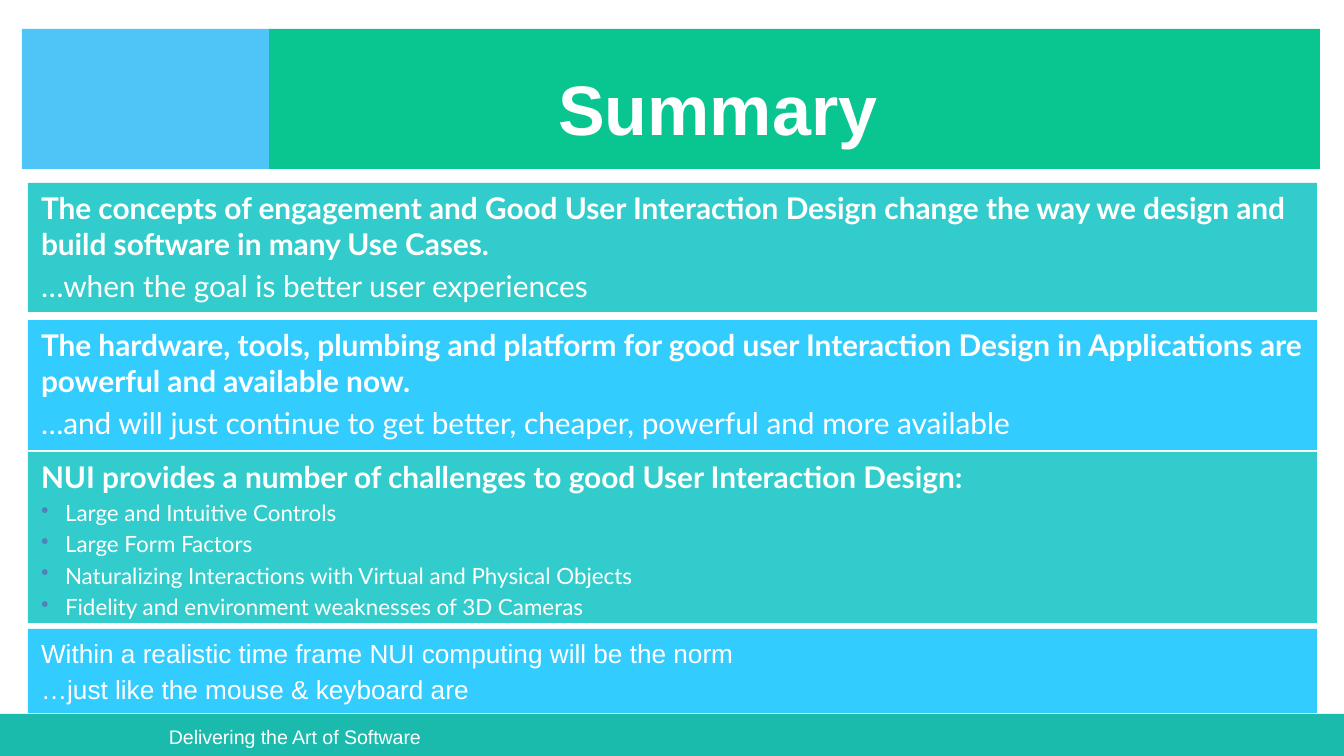
"""Build the Summary slide with its banner, four text panels and footer."""
from lxml.etree import SubElement
from pptx import Presentation
from pptx.dml.color import RGBColor
from pptx.enum.shapes import MSO_SHAPE as Shape
from pptx.enum.text import MSO_ANCHOR as Anchor, MSO_AUTO_SIZE as Fit, PP_ALIGN as Align
from pptx.oxml.ns import qn
from pptx.util import Pt

PX = 914400 / 134.4
WHITE, TEAL, SKY, BULLET = "FFFFFF", "33CCCC", "33CCFF", "4F81BD"
LEFT, WIDTH = 28, 1289

HEAD = {"name": "Lato", "size": 16, "bold": True}
BODY = {"name": "Lato", "size": 16, "bold": False}
ITEM = {"name": "Lato", "size": 12, "bold": False}
PLAIN = {"name": "Arial", "size": 14, "bold": False}
TITLE = {"name": "Arial", "size": 37.5, "bold": True}
FOOT = {"name": "Arial", "size": 10.5, "bold": False}

BANDS = [
    ((22, 29, 247, 140), "4FC4F6"),
    ((269, 29, 1051, 140), "09C690"),
    ((0, 714, 1344, 42), "1ABBAD"),
]

PANELS = [
    (183, 129, TEAL, Anchor.TOP, [
        (HEAD, "The concepts of engagement and Good User Interaction Design "
               "change the way we design and build software in many Use Cases."),
        (BODY, "…when the goal is better user experiences"),
    ]),
    (320, 130, SKY, Anchor.TOP, [
        (HEAD, "The hardware, tools, plumbing and platform for good user Interaction "
               "Design in Applications are powerful and available now."),
        (BODY, "…and will just continue to get better, cheaper, powerful and more available"),
    ]),
    (452, 171, TEAL, Anchor.TOP, [
        (HEAD, "NUI provides a number of challenges to good User Interaction Design:"),
        (ITEM, "Large and Intuitive Controls"),
        (ITEM, "Large Form Factors"),
        (ITEM, "Naturalizing Interactions with Virtual and Physical Objects"),
        (ITEM, "Fidelity and environment weaknesses of 3D Cameras"),
    ]),
    (629, 84, SKY, Anchor.MIDDLE, [
        (PLAIN, "Within a realistic time frame NUI computing will be the norm"),
        (PLAIN, "…just like the mouse & keyboard are"),
    ]),
]


def px(n):
    return round(n * PX)


def color(code):
    return RGBColor.from_string(code)


def place(shape, box):
    for key, n in zip(("left", "top", "width", "height"), box):
        setattr(shape, key, px(n))


def block(slide, box, fill):
    shape = slide.shapes.add_shape(Shape.RECTANGLE, *map(px, box))
    shape.shadow.inherit = False
    shape.fill.solid()
    shape.fill.fore_color.rgb = color(fill)
    shape.line.fill.background()
    return shape


def bullet(para):
    props = para._p.get_or_add_pPr()
    props.set("marL", str(px(24)))
    props.set("indent", str(-px(24)))
    tint = SubElement(props, qn("a:buClr"))
    SubElement(tint, qn("a:srgbClr")).set("val", BULLET)
    SubElement(props, qn("a:buChar")).set("char", "•")


def write(shape, lines, anchor, pad, align=Align.LEFT):
    frame = shape.text_frame
    form = {"word_wrap": True, "auto_size": Fit.NONE, "vertical_anchor": anchor}
    sides = ("margin_left", "margin_top", "margin_right", "margin_bottom")
    form.update(zip(sides, map(px, pad)))
    for key, val in form.items():
        setattr(frame, key, val)
    for i, (style, text) in enumerate(lines):
        para = frame.add_paragraph() if i else frame.paragraphs[0]
        para.alignment = align
        para.space_before = Pt(style["size"] * 0.2 if i else 0)
        if style is ITEM:
            bullet(para)
        run = para.add_run()
        run.text = text
        for key, val in style.items():
            setattr(run.font, key, Pt(val) if key == "size" else val)
        run.font.color.rgb = color(WHITE)


def main():
    deck = Presentation()
    deck.slide_width, deck.slide_height = px(1344), px(756)
    slide = deck.slides.add_slide(deck.slide_layouts[5])
    for box, fill in BANDS:
        block(slide, box, fill)

    foot = block(slide, (164, 719, 395, 36), "1ABBAD")
    write(foot, [(FOOT, "Delivering the Art of Software")], Anchor.MIDDLE, (5, 5, 5, 5))

    title = slide.shapes.title
    place(title, (378, 51, 680, 85))
    write(title, [(TITLE, "Summary")], Anchor.TOP, (13, 14, 13, 0), Align.CENTER)
    title._element.getparent().append(title._element)

    for top, high, fill, anchor, lines in PANELS:
        panel = block(slide, (LEFT, top, WIDTH, high), fill)
        write(panel, lines, anchor, (13, 7, 13, 7))
    deck.save("out.pptx")


if __name__ == "__main__":
    main()
